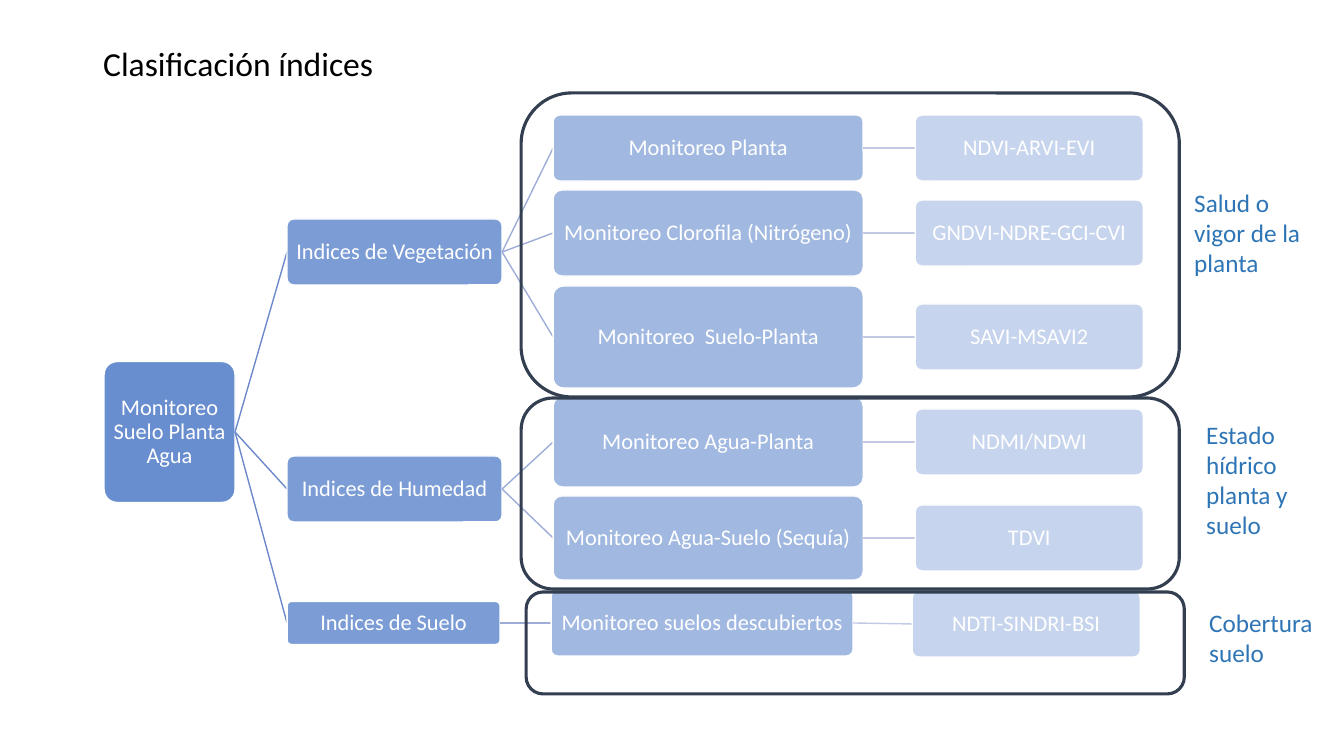
from lxml import etree
from pptx import Presentation, util as u
from pptx.dml.color import RGBColor
from pptx.enum import shapes, text
from pptx.oxml.ns import qn

EMU_PER_PX = u.Inches(1) / 100.8
FONT = "Calibri"
COLORS = {"box": "4472C4", "white": "FFFFFF", "title": "000000",
          "frame": "333F50", "note": "2E75B6"}
# By depth in the tree: box opacity in percent, colour of the link from the parent
LEVELS = [(80, None), (70, "6D89CB"), (50, "9EADD8"), (30, "C1C9E4")]
# By depth in the tree: left edge and width
COLUMNS = [(104, 131), (287, 215), (553, 310), (915, 228)]
SOIL_COLUMNS = [(104, 131), (287, 213), (551, 302), (912, 228)]

TITLE = "Clasificación índices"
# Node: label, middle y, height, children
ROOT = ("Monitoreo Suelo Planta Agua", 432, 141)
BRANCHES = [
    (COLUMNS, ("Indices de Vegetación", 252, 66, [
        ("Monitoreo Planta", 148, 66, [("NDVI-ARVI-EVI", 148, 66, [])]),
        ("Monitoreo Clorofila (Nitrógeno)", 233, 86, [("GNDVI-NDRE-GCI-CVI", 233, 66, [])]),
        ("Monitoreo  Suelo-Planta", 337, 102, [("SAVI-MSAVI2", 337, 66, [])]),
    ])),
    (COLUMNS, ("Indices de Humedad", 489, 66, [
        ("Monitoreo Agua-Planta", 442, 90, [("NDMI/NDWI", 442, 66, [])]),
        ("Monitoreo Agua-Suelo (Sequía)", 538, 84, [("TDVI", 538, 66, [])]),
    ])),
    (SOIL_COLUMNS, ("Indices de Suelo", 623, 43, [
        ("Monitoreo suelos descubiertos", 623, 66, [("NDTI-SINDRI-BSI", 624, 66, [])]),
    ])),
]
# Frame box, note, note box
GROUPS = [
    ((521, 93, 658, 304), "Salud o vigor de la planta", (1184, 182, 134, 102)),
    ((521, 398, 658, 191), "Estado hídrico planta y suelo", (1196, 414, 134, 132)),
    ((526, 592, 658, 102), "Cobertura suelo", (1199, 602, 134, 72)),
]


def px(*values):
    """Turn pixels into a list of EMU lengths."""
    return [u.Emu(round(v * EMU_PER_PX)) for v in values]


def rgb(name):
    """Look up a named colour, or read a hex string."""
    return RGBColor.from_string(COLORS.get(name, name))


def write(tf, label, size, color, align=text.PP_ALIGN.LEFT, spacing=None):
    """Put one formatted paragraph into a text frame."""
    tf.word_wrap = True
    p = tf.paragraphs[0]
    p.text, p.alignment = label, align
    if spacing:
        p.line_spacing = spacing
    p.font.name, p.font.size = FONT, u.Pt(size)
    p.font.color.rgb = rgb(color)


def round_box(s, box, line, width):
    """Add an unfilled rounded rectangle with a plain outline."""
    sp = s.shapes.add_shape(shapes.MSO_SHAPE.ROUNDED_RECTANGLE, *px(*box))
    sp.shadow.inherit = False
    sp.fill.background()
    sp.line.color.rgb, sp.line.width = rgb(line), u.Pt(width)
    return sp


def add_node(s, label, mid, height, column, opacity):
    """Add one translucent tree box centred on its middle line."""
    left, width = column
    sp = round_box(s, (left, mid - height / 2, width, height), "white", 1)
    sp.adjustments[0] = 0.1
    sp.fill.solid()
    sp.fill.fore_color.rgb = rgb("box")
    color = sp._element.spPr.find(qn("a:solidFill"))[0]
    etree.SubElement(color, qn("a:alpha"), val=str(opacity * 1000))
    tf = sp.text_frame
    tf.margin_left = tf.margin_right = tf.margin_top = tf.margin_bottom = px(4)[0]
    tf.vertical_anchor = text.MSO_ANCHOR.MIDDLE
    write(tf, label, 16, "white", text.PP_ALIGN.CENTER, 0.9)


def add_link(s, start, end, color):
    """Add a thin straight line from a parent to a child."""
    c = s.shapes.add_connector(shapes.MSO_CONNECTOR.STRAIGHT, *px(*start, *end))
    c.line.color.rgb, c.line.width = rgb(color), u.Pt(1)
    etree.SubElement(c._element.spPr, qn("a:effectLst"))


def add_branch(s, node, columns, parent_mid, depth=1):
    """Add a node, the link from its parent, and everything below it."""
    label, mid, height, children = node
    opacity, link = LEVELS[depth]
    add_link(s, (sum(columns[depth - 1]), parent_mid), (columns[depth][0], mid), link)
    add_node(s, label, mid, height, columns[depth], opacity)
    for child in children:
        add_branch(s, child, columns, mid, depth + 1)


prs = Presentation()
prs.slide_width, prs.slide_height = u.Inches(13.33), u.Inches(7.5)
s = prs.slides.add_slide(prs.slide_layouts[5])

title = s.shapes.title
title.left, title.top, title.width, title.height = px(93, 40, 1159, 52)
title.text_frame.vertical_anchor = text.MSO_ANCHOR.MIDDLE
write(title.text_frame, TITLE, 24, "title", spacing=0.9)

add_node(s, *ROOT, COLUMNS[0], LEVELS[0][0])
for columns, branch in BRANCHES:
    add_branch(s, branch, columns, ROOT[1])

for frame, note, note_box in GROUPS:
    round_box(s, frame, "frame", 2.25)
    write(s.shapes.add_textbox(*px(*note_box)).text_frame, note, 18, "note")

prs.save("out.pptx")
